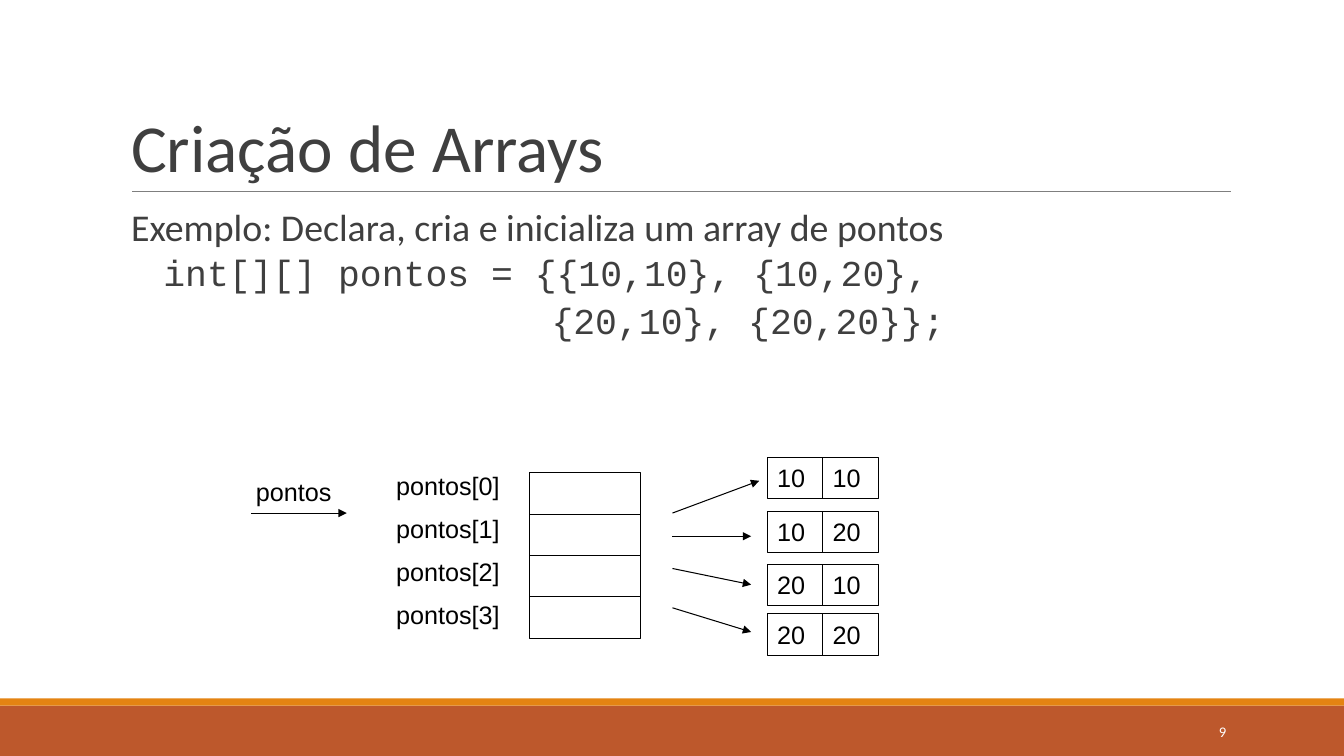
from typing import NamedTuple

from pptx import Presentation
from pptx.dml.color import RGBColor
from pptx.enum.shapes import MSO_CONNECTOR, MSO_SHAPE
from pptx.enum.text import MSO_ANCHOR, MSO_AUTO_SIZE, PP_ALIGN
from pptx.oxml.ns import qn
from pptx.util import Inches, Pt

RECT = MSO_SHAPE.RECTANGLE
LINE = MSO_CONNECTOR.STRAIGHT
TOP, MIDDLE, BOTTOM = MSO_ANCHOR.TOP, MSO_ANCHOR.MIDDLE, MSO_ANCHOR.BOTTOM
LEFT, RIGHT = PP_ALIGN.LEFT, PP_ALIGN.RIGHT
FIXED = MSO_AUTO_SIZE.NONE

BLACK, GRAY, DARK, WHITE = "000000", "7F7F7F", "3F3F3F", "FFFFFF"
RUST, ORANGE = "BD582C", "E48312"
CELL_W, CELL_H = 0.55, 0.41


class Box(NamedTuple):
    x: float
    y: float
    w: float
    h: float


class Font(NamedTuple):
    name: str
    size: float
    color: str


class Point(NamedTuple):
    y: float
    values: tuple[str, str]


class Arrow(NamedTuple):
    x1: float
    y1: float
    x2: float
    y2: float


class Item(NamedTuple):
    text: str
    font: Font
    indent: float
    before: float


LABEL = Font("Arial", 18, BLACK)
CODE = Font("Courier New", 26, DARK)

ITEMS = [
    Item("Exemplo: Declara, cria e inicializa um array de pontos",
         Font("Calibri", 27, DARK), 0.1, 0),
    Item("int[][] pontos = {{10,10}, {10,20},", CODE, 0.42, 4),
    Item("{20,10}, {20,20}};", CODE, 4.27, 6),
]
POINTS = [
    Point(4.54, ("10", "10")),
    Point(5.07, ("10", "20")),
    Point(5.6, ("20", "10")),
    Point(6.09, ("20", "20")),
]
ARROWS = [
    Arrow(2.49, 5.09, 3.44, 5.09),
    Arrow(6.67, 5.09, 7.53, 4.77),
    Arrow(6.67, 5.32, 7.45, 5.32),
    Arrow(6.67, 5.64, 7.45, 5.8),
    Arrow(6.67, 6.03, 7.45, 6.27),
]


def rgb(code: str) -> RGBColor:
    return RGBColor.from_string(code)


def style(para, font: Font, align=LEFT, before: float = 0) -> None:
    para.alignment = align
    para.space_before = Pt(before)
    for run in para.runs:
        run.font.name = font.name
        run.font.size = Pt(font.size)
        run.font.color.rgb = rgb(font.color)


def place(shape, box: Box) -> None:
    shape.left, shape.top, shape.width, shape.height = map(Inches, box)


def add_band(slide, box: Box, color: str) -> None:
    band = slide.shapes.add_shape(RECT, *map(Inches, box))
    band.shadow.inherit = False
    band.fill.solid()
    band.fill.fore_color.rgb = rgb(color)
    band.line.fill.background()


def add_cell(slide, box: Box, text: str = "") -> None:
    cell = slide.shapes.add_shape(RECT, *map(Inches, box))
    cell.shadow.inherit = False
    cell.fill.background()
    cell.line.color.rgb = rgb(BLACK)
    cell.line.width = Pt(0.75)
    frame = cell.text_frame
    frame.vertical_anchor = TOP
    frame.text = text
    style(frame.paragraphs[0], LABEL)


def add_line(slide, ends: Arrow, color: str, head: bool = False) -> None:
    line = slide.shapes.add_connector(LINE, *map(Inches, ends))
    line.line.color.rgb = rgb(color)
    line.line.width = Pt(0.75)
    props = line.line._get_or_add_ln()
    if head:
        tail = props.makeelement(qn("a:tailEnd"), {"type": "triangle"})
        props.append(tail)
    props.addnext(props.makeelement(qn("a:effectLst"), {}))


def add_text(slide, box: Box, text: str, font: Font, align=LEFT,
             anchor=TOP, gap: float = 0) -> None:
    frame = slide.shapes.add_textbox(*map(Inches, box)).text_frame
    frame.word_wrap = True
    frame.vertical_anchor = anchor
    frame.text = text
    for i, para in enumerate(frame.paragraphs):
        style(para, font, align, gap if i else 0)


def fill_title(slide) -> None:
    title = slide.shapes.title
    place(title, Box(1.2, 0.31, 11, 1.59))
    frame = title.text_frame
    frame.text = "Criação de Arrays"
    frame.auto_size = FIXED
    frame.vertical_anchor = BOTTOM
    para = frame.paragraphs[0]
    para.line_spacing = 0.85
    style(para, Font("Calibri", 48, DARK))


def fill_body(slide) -> None:
    body = slide.placeholders[1]
    place(body, Box(1.2, 2.02, 11, 4.4))
    frame = body.text_frame
    frame.auto_size = FIXED
    frame.margin_left = frame.margin_right = 0
    frame.text = "\n".join(item.text for item in ITEMS)
    for para, item in zip(frame.paragraphs, ITEMS):
        para.line_spacing = 0.9
        style(para, item.font, before=item.before)
        props = para._p.get_or_add_pPr()
        props.set("marL", str(Inches(item.indent)))
        props.set("indent", "0")
        props.append(props.makeelement(qn("a:buNone"), {}))


def draw_array(slide) -> None:
    for point in POINTS:
        for col, value in enumerate(point.values):
            x = 7.61 + col * CELL_W
            add_cell(slide, Box(x, point.y, CELL_W, CELL_H), value)
    for arrow in ARROWS:
        add_line(slide, arrow, BLACK, head=True)
    for row in range(len(POINTS)):
        add_cell(slide, Box(5.25, 4.69 + row * CELL_H, 2 * CELL_W, CELL_H))
    add_text(slide, Box(2.44, 4.68, 1.1, 0.4), "pontos", LABEL)
    names = "\n".join(f"pontos[{i}]" for i in range(len(POINTS)))
    add_text(slide, Box(3.83, 4.62, 1.42, 1.76), names, LABEL, gap=9)


def main() -> None:
    deck = Presentation()
    deck.slide_width, deck.slide_height = Inches(13.33), Inches(7.5)
    slide = deck.slides.add_slide(deck.slide_layouts[1])
    add_band(slide, Box(0, 7, 13.33, 0.5), RUST)
    add_band(slide, Box(0, 6.93, 13.33, 0.07), ORANGE)
    add_line(slide, Arrow(1.31, 1.9, 12.21, 1.9), GRAY)
    fill_title(slide)
    fill_body(slide)
    add_text(slide, Box(10.83, 7.06, 1.43, 0.4), "9",
             Font("Calibri", 10.5, WHITE), RIGHT, MIDDLE)
    draw_array(slide)
    deck.save("out.pptx")


if __name__ == "__main__":
    main()
